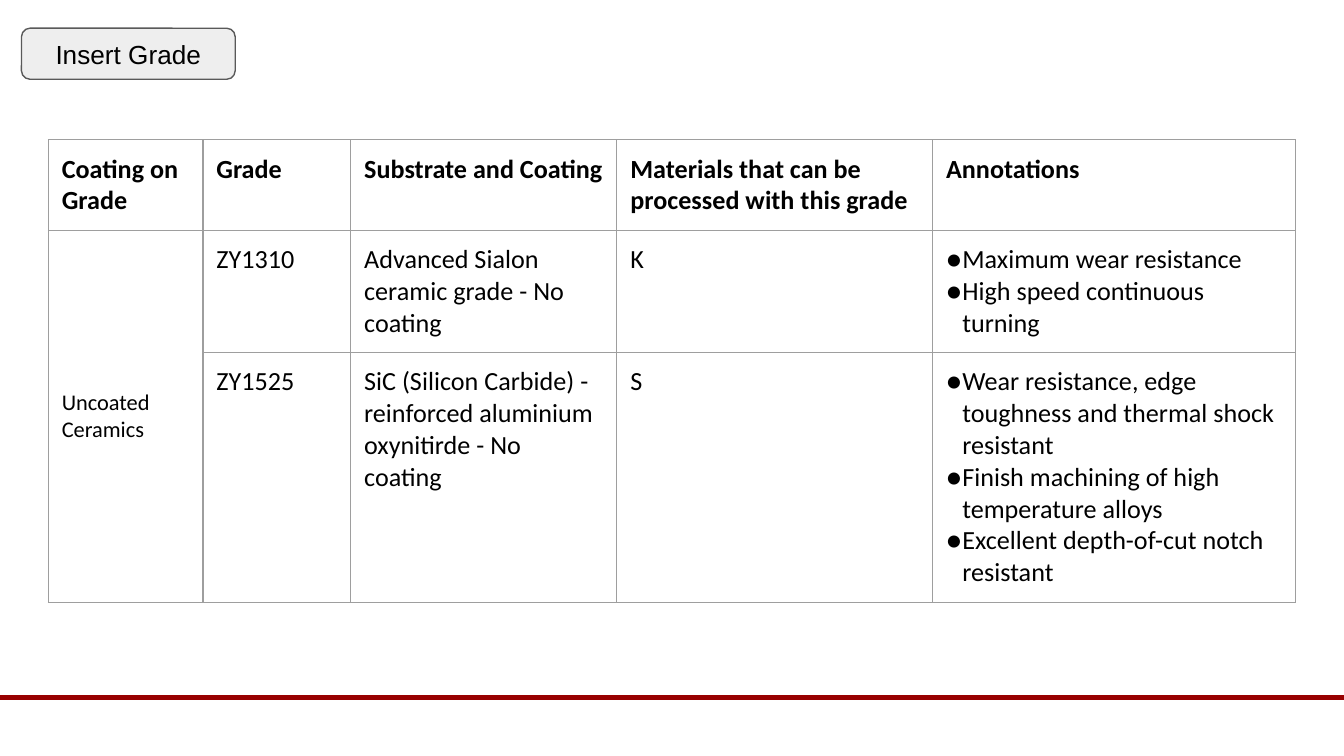
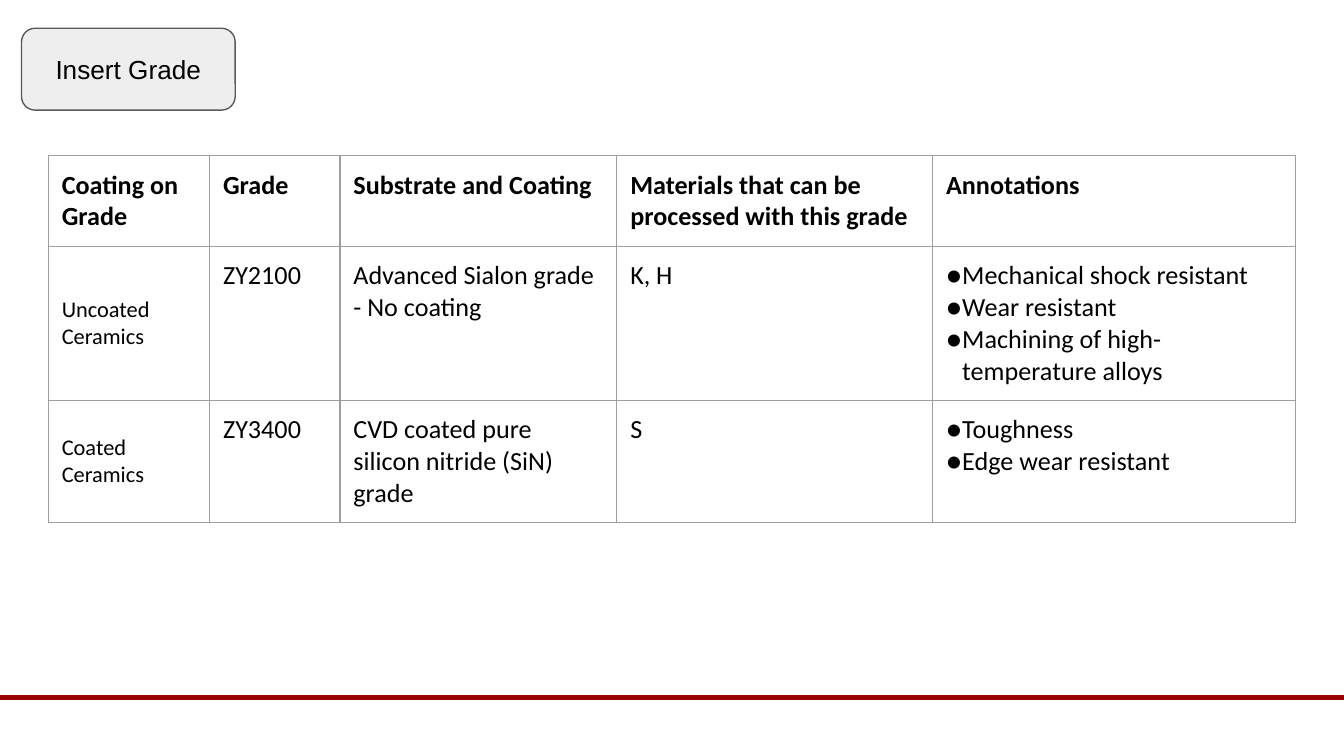
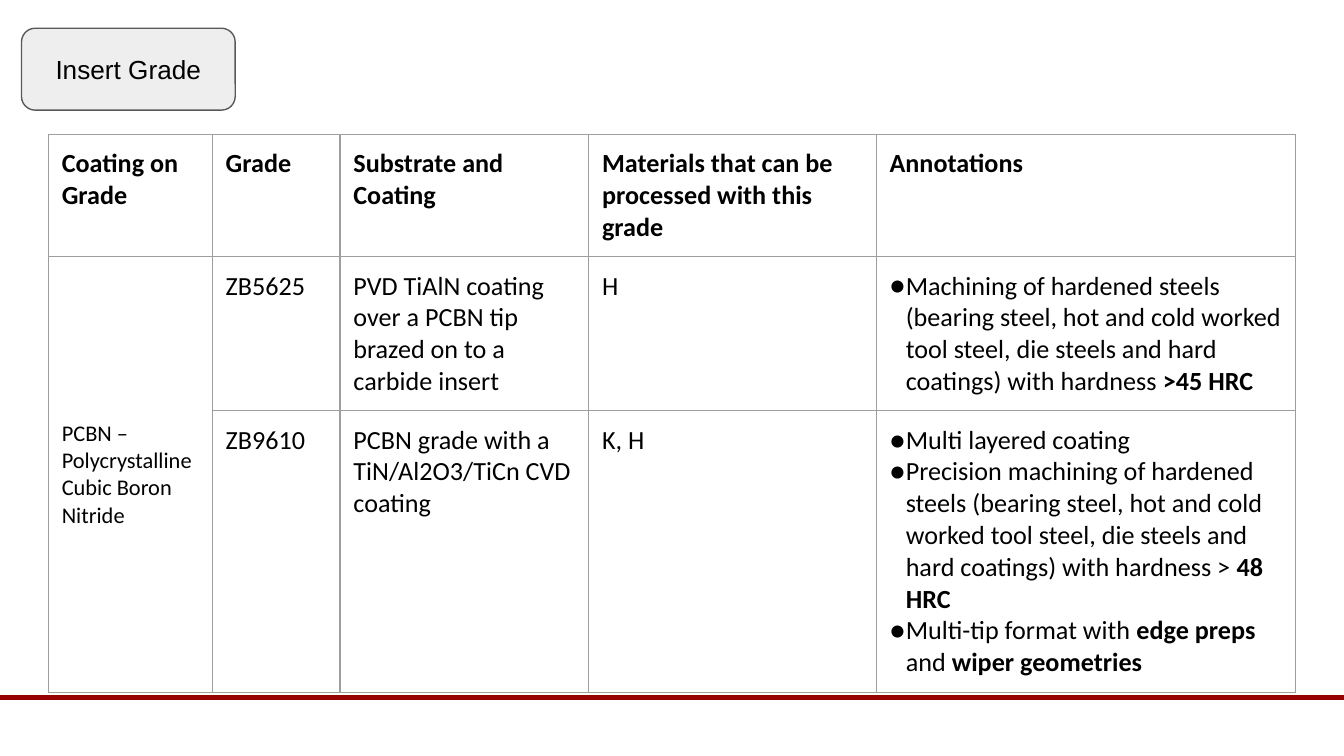
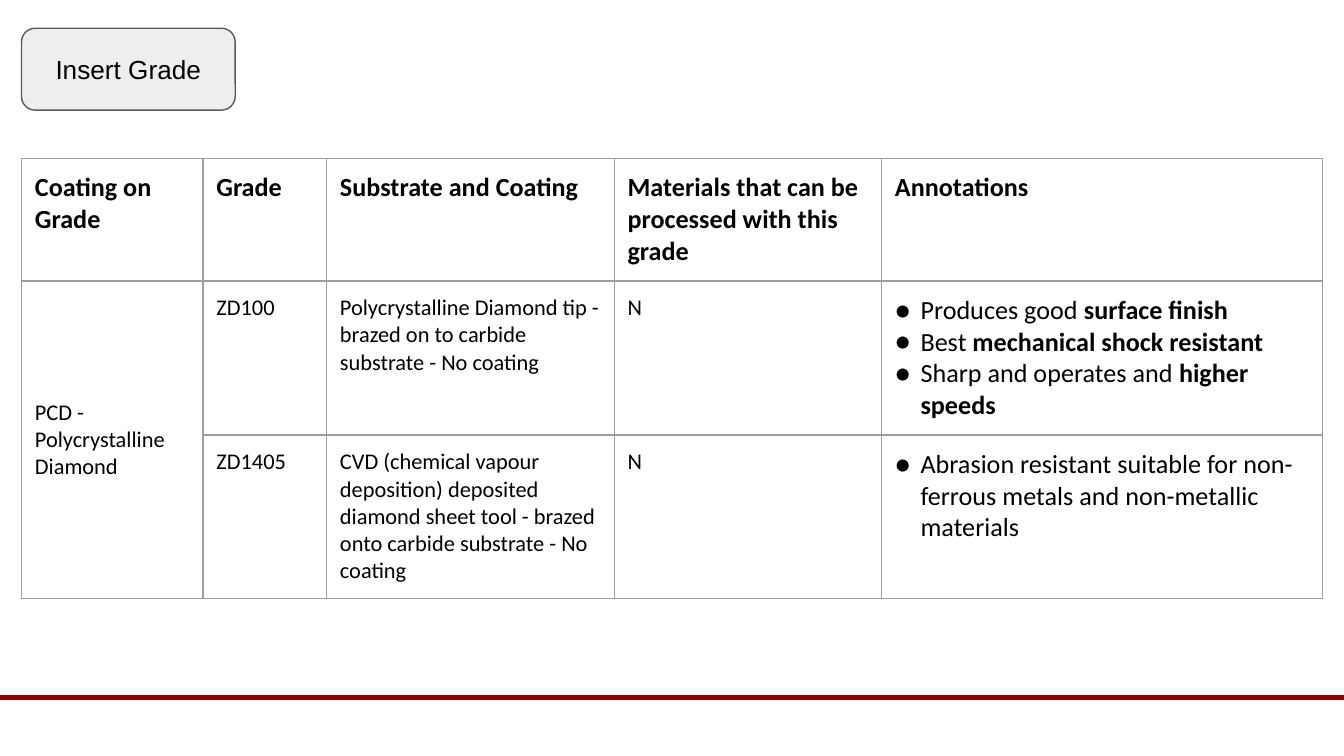
from dataclasses import dataclass

from lxml import etree
from pptx import Presentation
from pptx.dml.color import RGBColor
from pptx.enum.shapes import MSO_CONNECTOR, MSO_SHAPE
from pptx.enum.text import MSO_ANCHOR, PP_ALIGN
from pptx.oxml.ns import qn
from pptx.util import Inches, Pt

STRAIGHT = MSO_CONNECTOR.STRAIGHT
ROUNDED = MSO_SHAPE.ROUNDED_RECTANGLE
TOP = MSO_ANCHOR.TOP
MIDDLE = MSO_ANCHOR.MIDDLE
CENTER = PP_ALIGN.CENTER

BLACK = RGBColor(0x00, 0x00, 0x00)
DARK_RED = RGBColor(0x98, 0x00, 0x00)
LABEL_FILL = RGBColor(0xEE, 0xEE, 0xEE)
LABEL_LINE = RGBColor(0x59, 0x59, 0x59)
GRID_GREY = RGBColor(0x9E, 0x9E, 0x9E)

SLIDE_WIDTH = 10
SLIDE_HEIGHT = SLIDE_WIDTH * 9 / 16
BLANK_LAYOUT = 6
TABLE_FONT = "Calibri"
TEXT_SIZE = 14
MARGIN = Inches(0.1)
BOLD_MARK = "**"
HEADINGS = [
    "Coating on Grade",
    "Grade",
    "Substrate and Coating",
    "Materials that can be processed with this grade",
    "Annotations",
]
COATING_COLUMN = 0
NOTES_COLUMN = len(HEADINGS) - 1


@dataclass
class GradeSlide:
    left: float
    top: float
    columns: list
    grades: list
    rows: tuple = (0.5, 0.27, 0.47)
    label_height: float = 0.61
    detail_size: int = TEXT_SIZE
    bullet_indent: tuple = (0.12, -0.16)


GRADE_SLIDES = [
    GradeSlide(
        left=0.36, top=1.04, columns=[1.15, 1.1, 1.98, 2.35, 2.7], label_height=0.38,
        grades=[
            (["Uncoated Ceramics"], "ZY1310", "Advanced Sialon ceramic grade - No coating", "K",
             ["Maximum wear resistance", "High speed continuous turning"]),
            (None, "ZY1525",
             "SiC (Silicon Carbide) - reinforced aluminium oxynitirde - No coating", "S",
             ["Wear resistance, edge toughness and thermal shock resistant",
              "Finish machining of high temperature alloys",
              "Excellent depth-of-cut notch resistant"]),
        ],
    ),
    GradeSlide(
        left=0.36, top=1.16, columns=[1.2, 0.97, 2.06, 2.35, 2.7],
        grades=[
            (["Uncoated Ceramics"], "ZY2100", "Advanced Sialon grade - No coating", "K, H",
             ["Mechanical shock resistant", "Wear resistant",
              "Machining of high-temperature alloys"]),
            (["Coated Ceramics"], "ZY3400", "CVD coated pure silicon nitride (SiN) grade", "S",
             ["Toughness", "Edge wear resistant"]),
        ],
    ),
    GradeSlide(
        left=0.36, top=1, columns=[1.22, 0.95, 1.85, 2.14, 3.12],
        grades=[
            (["PCBN – Polycrystalline", "Cubic Boron Nitride"], "ZB5625",
             "PVD TiAlN coating over a PCBN tip brazed on to a carbide insert", "H",
             ["Machining of hardened steels (bearing steel, hot and cold worked tool steel, "
              "die steels and hard coatings) with hardness **>45 HRC**"]),
            (None, "ZB9610", "PCBN grade with a TiN/Al2O3/TiCn CVD coating", "K, H",
             ["Multi layered coating",
              "Precision machining of hardened steels (bearing steel, hot and cold worked "
              "tool steel, die steels and hard coatings) with hardness > **48 HRC**",
              "Multi-tip format with **edge preps** and **wiper geometries**"]),
        ],
    ),
    GradeSlide(
        left=0.16, top=1.18, columns=[1.35, 0.92, 2.14, 1.99, 3.28],
        rows=(0.81, 1.06, 1.08), detail_size=12, bullet_indent=(0.19, -0.22),
        grades=[
            (["PCD - Polycrystalline Diamond"], "ZD100",
             "Polycrystalline Diamond tip - brazed on to carbide substrate - No coating", "N",
             ["Produces good **surface finish**", "Best **mechanical shock resistant**",
              "Sharp and operates and **higher speeds**"]),
            (None, "ZD1405",
             "CVD (chemical vapour deposition) deposited diamond sheet tool - brazed onto "
             "carbide substrate - No coating", "N",
             ["Abrasion resistant suitable for non-ferrous metals and non-metallic materials"]),
        ],
    ),
]


def style_font(font, name, size, bold=False):
    font.name = name
    font.size = Pt(size)
    font.bold = bold
    font.color.rgb = BLACK


def set_margins(target):
    target.margin_left = target.margin_right = MARGIN
    target.margin_top = target.margin_bottom = MARGIN


def add_bullet(paragraph, indent):
    properties = paragraph._p.get_or_add_pPr()
    left, first_line = indent
    properties.set("marL", str(Inches(left)))
    properties.set("indent", str(Inches(first_line)))
    color = etree.SubElement(properties, qn("a:buClr"))
    etree.SubElement(color, qn("a:srgbClr"), val=str(BLACK))
    etree.SubElement(properties, qn("a:buSzPts"), val=str(TEXT_SIZE * 100))
    etree.SubElement(properties, qn("a:buFont"), typeface=TABLE_FONT)
    etree.SubElement(properties, qn("a:buChar"), char="●")


def add_borders(cell):
    properties = cell._tc.get_or_add_tcPr()
    for side in ("lnL", "lnR", "lnT", "lnB"):
        line = etree.SubElement(properties, qn(f"a:{side}"), w=str(Pt(0.75)))
        fill = etree.SubElement(line, qn("a:solidFill"))
        etree.SubElement(fill, qn("a:srgbClr"), val=str(GRID_GREY))


def fill_cell(cell, lines, size, bold=False, bullet_indent=None):
    frame = cell.text_frame
    for index, line in enumerate(lines):
        paragraph = frame.add_paragraph() if index else frame.paragraphs[0]
        if bullet_indent:
            add_bullet(paragraph, bullet_indent)
        style_font(paragraph.font, TABLE_FONT, size, bold)
        for part, text in enumerate(line.split(BOLD_MARK)):
            if text:
                run = paragraph.add_run()
                run.text = text
                if part % 2:
                    run.font.bold = True


def add_footer_line(slide, left, top, width):
    line = slide.shapes.add_connector(
        STRAIGHT, Inches(left), Inches(top), Inches(left + width), Inches(top))
    line.line.color.rgb = DARK_RED
    line.line.width = Pt(2.25)
    etree.SubElement(line._element.spPr, qn("a:effectLst"))


def add_label(slide, left, top, width, height):
    label = slide.shapes.add_shape(
        ROUNDED, Inches(left), Inches(top), Inches(width), Inches(height))
    label.shadow.inherit = False
    label.fill.solid()
    label.fill.fore_color.rgb = LABEL_FILL
    label.line.color.rgb = LABEL_LINE
    label.line.width = Pt(0.75)
    frame = label.text_frame
    frame.word_wrap = True
    frame.vertical_anchor = MIDDLE
    set_margins(frame)
    paragraph = frame.paragraphs[0]
    paragraph.text = "Insert Grade"
    paragraph.alignment = CENTER
    style_font(paragraph.font, "Arial", TEXT_SIZE)


def add_grade_table(slide, content):
    table = slide.shapes.add_table(
        len(content.rows), len(content.columns), Inches(content.left), Inches(content.top),
        Inches(sum(content.columns)), Inches(sum(content.rows))).table
    table.first_row = False
    table.horz_banding = False
    for column, width in zip(table.columns, content.columns):
        column.width = Inches(width)
    for row, height in zip(table.rows, content.rows):
        row.height = Inches(height)
    for cell in table.iter_cells():
        add_borders(cell)
        cell.fill.background()
        set_margins(cell)
        cell.vertical_anchor = TOP

    for column, heading in enumerate(HEADINGS):
        fill_cell(table.cell(0, column), [heading], TEXT_SIZE, bold=True)
    for row, (coating, *details, notes) in enumerate(content.grades, start=1):
        coating_cell = table.cell(row, COATING_COLUMN)
        if coating:
            coating_cell.vertical_anchor = MIDDLE
            fill_cell(coating_cell, coating, 12)
        else:
            table.cell(row - 1, COATING_COLUMN).merge(coating_cell)
        for column, detail in enumerate(details, start=1):
            fill_cell(table.cell(row, column), [detail], content.detail_size)
        fill_cell(table.cell(row, NOTES_COLUMN), notes, TEXT_SIZE,
                  bullet_indent=content.bullet_indent)


def add_grade_slide(presentation, content):
    slide = presentation.slides.add_slide(presentation.slide_layouts[BLANK_LAYOUT])
    add_footer_line(slide, -0.01, 5.19, 10.03)
    add_label(slide, 0.16, 0.21, 1.59, content.label_height)
    add_grade_table(slide, content)


def main():
    presentation = Presentation()
    presentation.slide_width = Inches(SLIDE_WIDTH)
    presentation.slide_height = Inches(SLIDE_HEIGHT)
    for content in GRADE_SLIDES:
        add_grade_slide(presentation, content)
    presentation.save("out.pptx")


if __name__ == "__main__":
    main()
